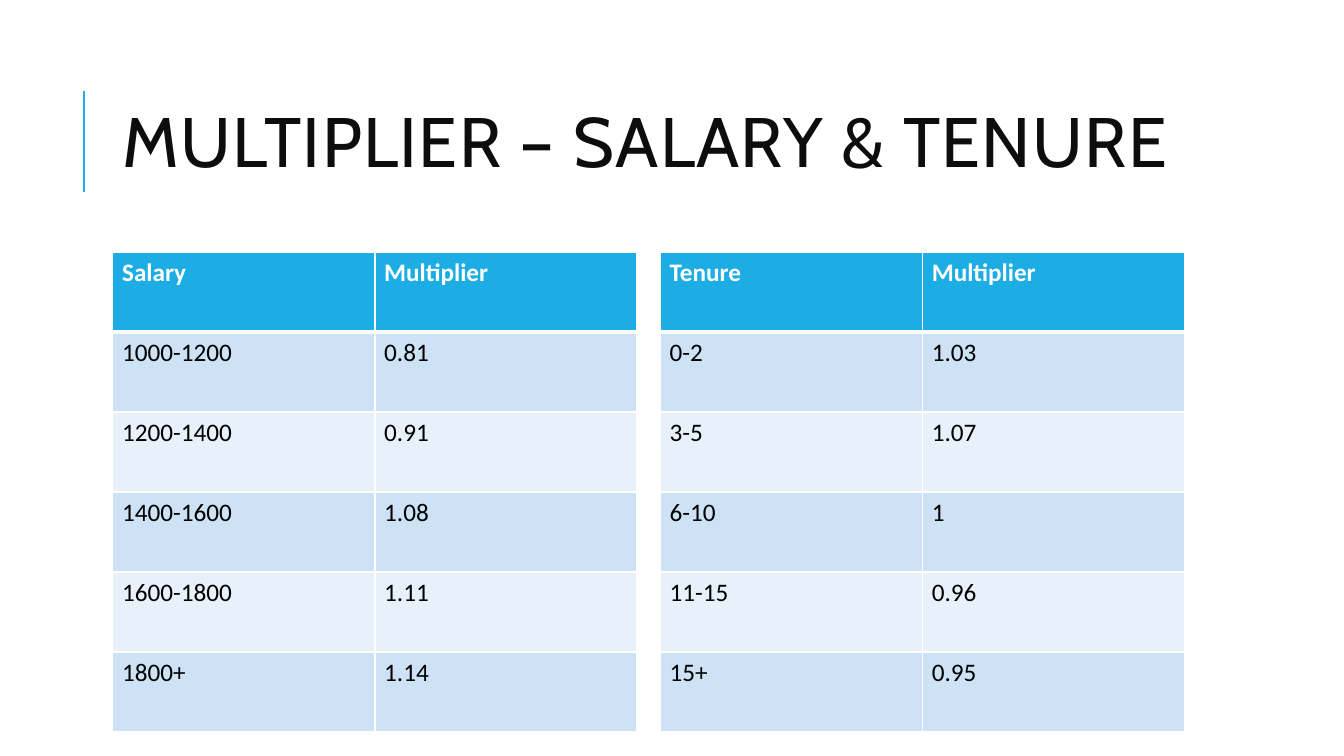
from pptx import Presentation
from pptx.dml.color import RGBColor as RGB
from pptx.enum.shapes import MSO_CONNECTOR as Link
from pptx.enum.text import MSO_ANCHOR as Anchor
from pptx.oxml import parse_xml
from pptx.oxml.ns import nsdecls
from pptx.util import Pt


def tint(color, code):
    color.rgb = RGB.from_string(code)


def style(run, code, form):
    for key, value in form.items():
        setattr(run.font, key, value)
    tint(run.font.color, code)


deck = Presentation()
deck.slide_width, deck.slide_height = Pt(960), Pt(540)
slide = deck.slides.add_slide(deck.slide_layouts[6])

bar = slide.shapes.add_connector(Link.STRAIGHT, Pt(60), Pt(136.8), Pt(60), Pt(64.8))
bar.line.width = Pt(1.5)
tint(bar.line.color, "1CADE4")
bar._element.spPr.append(parse_xml(f"<a:effectLst {nsdecls('a')}/>"))

frame = slide.shapes.add_textbox(Pt(80.64), Pt(46.08), Pt(765.36), Pt(118.08)).text_frame
frame.word_wrap = True
frame.vertical_anchor = Anchor.MIDDLE
para = frame.paragraphs[0]
para.line_spacing = 0.8
run = para.add_run()
run.text = "MULTIPLIER – SALARY & TENURE"
style(run, "0D0D0D", {"name": "Cabin", "size": Pt(50)})
run.font._element.set("spc", "100")

grids = [
    (80.64, [("Salary", "Multiplier"), ("1000-1200", "0.81"), ("1200-1400", "0.91"),
             ("1400-1600", "1.08"), ("1600-1800", "1.11"), ("1800+", "1.14")]),
    (475.2 - 3.4, [("Tenure", "Multiplier"), ("0-2", "1.03"), ("3-5", "1.07"),
                   ("6-10", "1"), ("11-15", "0.96"), ("15+", "0.95")]),
]
bands = ["E8F1FA", "CDE3F5"]
pads = {"margin_left": Pt(6.6), "margin_right": Pt(6.6),
        "margin_top": Pt(3.6), "margin_bottom": Pt(3.6)}

for left, rows in grids:
    grid = slide.shapes.add_table(6, 2, Pt(left), Pt(180), Pt(374.4), Pt(342.9)).table
    for col in grid.columns:
        col.width = Pt(187.2)
    for r, row in enumerate(rows):
        grid.rows[r].height = Pt(57.15)
        head = r == 0
        for c, text in enumerate(row):
            cell = grid.cell(r, c)
            for key, value in pads.items():
                setattr(cell, key, value)
            props = cell._tc.get_or_add_tcPr()
            for side in "LRTB":
                wide = 3 if (r, side) in [(0, "B"), (1, "T")] else 1
                props.append(parse_xml(
                    f'<a:ln{side} {nsdecls("a")} w="{Pt(wide)}"><a:solidFill>'
                    f'<a:srgbClr val="FFFFFF"/></a:solidFill></a:ln{side}>'))
            cell.fill.solid()
            tint(cell.fill.fore_color, "1CADE4" if head else bands[r % 2])
            run = cell.text_frame.paragraphs[0].add_run()
            run.text = text
            style(run, "FFFFFF" if head else "000000",
                  {"name": "Calibri", "size": Pt(18), "bold": head})

deck.save("out.pptx")
